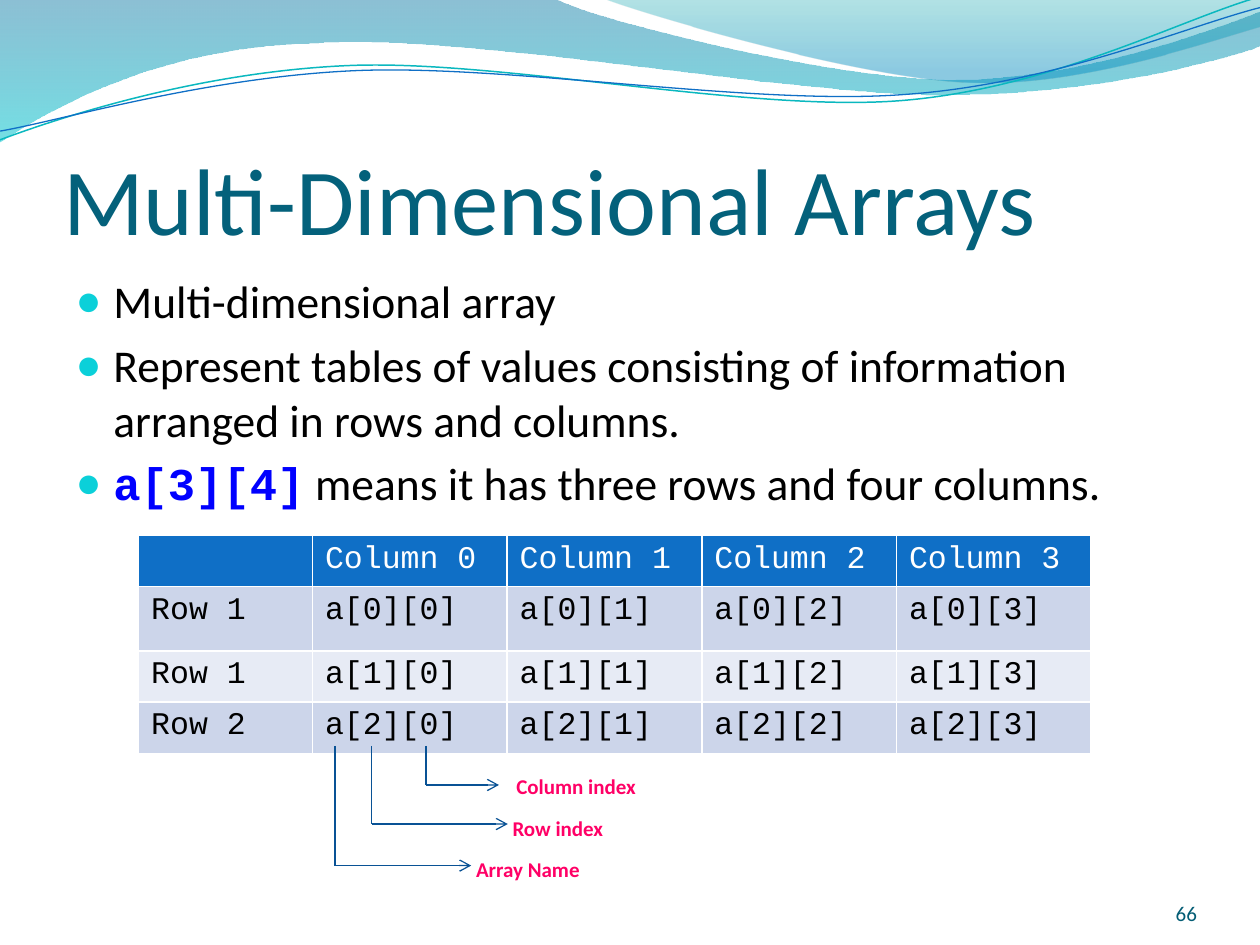
from dataclasses import dataclass
from math import cos, radians, sin

from lxml.etree import SubElement
from pptx import Presentation
from pptx.dml.color import RGBColor
from pptx.enum.text import MSO_ANCHOR, MSO_AUTO_SIZE, PP_ALIGN
from pptx.oxml.ns import qn
from pptx.util import Pt

PX = 9144  # EMU per px, 100 px to the inch


@dataclass(frozen=True)
class Theme:
    font: str = "Calibri"
    code_font: str = "Courier New"
    title: str = "04617B"
    text: str = "000000"
    code: str = "0000FF"
    bullet: str = "0BD0D9"
    header: str = "0F6FC6"
    white: str = "FFFFFF"
    bands: tuple = ("CCD5EA", "E7EBF5")
    arrow: str = "095295"
    label: str = "FF0066"
    number: str = "045D75"
    title_size: int = 54
    body_size: int = 26
    table_size: int = 18
    small_size: int = 12


def px(*values):
    return [round(v * PX) for v in values]


def rgb(color):
    return RGBColor.from_string(color)


def turn(point, center, degrees):
    a = radians(degrees)
    dx, dy = point[0] - center[0], point[1] - center[1]
    return (center[0] + dx * cos(a) - dy * sin(a),
            center[1] + dx * sin(a) + dy * cos(a))


class Deck:
    def __init__(self, slide, theme):
        self.s = slide
        self.theme = theme

    def run(self, p, text, size, color, font=None, bold=False):
        r = p.add_run()
        r.text = text
        r.font.name = font or self.theme.font
        r.font.size = Pt(size)
        r.font.bold = bold
        r.font.color.rgb = rgb(color)

    def freeform(self, start, segments, close, center=(0, 0), tilt=0):
        """Segments are line ends (2 numbers) or Bezier curves (6 numbers)."""
        points = [start]
        for seg in segments:
            points += zip(seg[::2], seg[1::2])
        points = [tuple(px(*turn(p, center, -tilt))) for p in points]
        builder = self.s.shapes.build_freeform(*points[0], scale=1.0)
        builder.add_line_segments(points[1:], close=close)
        sp = builder.convert_to_shape()
        lines = iter(list(sp.element.iter(qn("a:lnTo"))))
        for seg in segments:
            group = [next(lines) for _ in seg[::2]]
            if len(group) == 3:
                curve = SubElement(group[0].getparent(), qn("a:cubicBezTo"))
                group[0].addprevious(curve)
                for ln in group:
                    curve.append(ln[0])
                    ln.getparent().remove(ln)
        sp.rotation = tilt
        sp.shadow.inherit = False
        return sp

    def wave(self, start, segments, stops):
        """Filled band; stops are (position, colour, opacity in percent)."""
        sp = self.freeform(start, segments, True)
        sp.line.fill.background()
        sp.fill.gradient()
        sp.fill.gradient_angle = 270
        for stop, (position, color, opacity) in zip(sp.fill.gradient_stops, stops):
            stop.position = position
            stop.color.rgb = rgb(color)
        for clr, stop in zip(sp.element.spPr.iter(qn("a:srgbClr")), stops):
            SubElement(clr, qn("a:alpha")).set("val", str(stop[2] * 1000))

    def wave_line(self, start, segments, center, color, width):
        sp = self.freeform(start, segments, False, center, -2.7)
        sp.fill.background()
        sp.line.color.rgb = rgb(color)
        sp.line.width = Pt(width)

    def placeholder(self, index, box):
        """Place a template placeholder in front of what is drawn so far."""
        sp = self.s.placeholders[index]
        sp.left, sp.top, sp.width, sp.height = px(*box)
        sp.element.getparent().append(sp.element)
        sp.text_frame.auto_size = MSO_AUTO_SIZE.NONE
        return sp.text_frame

    def title(self, text, box):
        tf = self.placeholder(0, box)
        tf.margin_left = tf.margin_right = tf.margin_bottom = 0
        tf.vertical_anchor = MSO_ANCHOR.BOTTOM
        p = tf.paragraphs[0]
        p.alignment = PP_ALIGN.LEFT
        self.run(p, text, self.theme.title_size, self.theme.title)

    def bullets(self, items, box):
        """Each item is a list of (text, is_code) runs."""
        th = self.theme
        tf = self.placeholder(1, box)
        for i, item in enumerate(items):
            p = tf.add_paragraph() if i else tf.paragraphs[0]
            p.space_before = Pt(5.2 if i else 0)
            pPr = p._p.get_or_add_pPr()
            indent = px(30)[0]
            pPr.set("marL", str(indent))
            pPr.set("indent", str(-indent))
            SubElement(SubElement(pPr, qn("a:buClr")), qn("a:srgbClr")).set("val", th.bullet)
            SubElement(pPr, qn("a:buSzPct")).set("val", "95000")
            SubElement(pPr, qn("a:buChar")).set("char", "●")
            for text, is_code in item:
                if is_code:
                    self.run(p, text, th.body_size, th.code, th.code_font, True)
                else:
                    self.run(p, text, th.body_size, th.text)

    def borders(self, cell):
        tcPr = cell._tc.get_or_add_tcPr()
        for side in "LRTB":
            ln = SubElement(tcPr, qn(f"a:ln{side}"))
            ln.set("w", str(Pt(1)))
            fill = SubElement(ln, qn("a:solidFill"))
            SubElement(fill, qn("a:srgbClr")).set("val", self.theme.white)

    def table(self, rows, left, top, widths, heights):
        th = self.theme
        frame = self.s.shapes.add_table(
            len(rows), len(widths), *px(left, top, sum(widths), sum(heights)))
        table = frame.table
        for column, width in zip(table.columns, px(*widths)):
            column.width = width
        for row, height in zip(table.rows, px(*heights)):
            row.height = height
        for i, row in enumerate(rows):
            for j, text in enumerate(row):
                cell = table.cell(i, j)
                self.borders(cell)
                cell.fill.solid()
                cell.fill.fore_color.rgb = rgb(th.bands[(i - 1) % 2] if i else th.header)
                if text:
                    self.run(cell.text_frame.paragraphs[0], text, th.table_size,
                             th.text if i else th.white, th.code_font)

    def line(self, x1, y1, x2, y2, arrow=False):
        c = self.s.shapes.add_connector(1, *px(x1, y1, x2, y2))
        c.line.color.rgb = rgb(self.theme.arrow)
        c.line.width = Pt(0.75)
        if arrow:
            SubElement(c.line._get_or_add_ln(), qn("a:tailEnd")).set("type", "arrow")
        SubElement(c.element.spPr, qn("a:effectLst"))

    def callout(self, text, x, top, y, tip, label_box):
        """Line down from a table cell, then an arrow across to a label."""
        self.line(x, top, x, y)
        self.line(x, y, tip, y, arrow=True)
        tf = self.s.shapes.add_textbox(*px(*label_box)).text_frame
        tf.word_wrap = False
        tf.auto_size = MSO_AUTO_SIZE.SHAPE_TO_FIT_TEXT
        self.run(tf.paragraphs[0], text, self.theme.small_size, self.theme.label, bold=True)

    def slide_number(self, text, box):
        tf = self.s.shapes.add_textbox(*px(*box)).text_frame
        tf.word_wrap = True
        tf.margin_left = tf.margin_right = tf.margin_top = tf.margin_bottom = 0
        tf.vertical_anchor = MSO_ANCHOR.BOTTOM
        tf.paragraphs[0].alignment = PP_ALIGN.RIGHT
        self.run(tf.paragraphs[0], text, self.theme.small_size, self.theme.number)


def main():
    prs = Presentation()
    prs.slide_width, prs.slide_height = px(1000, 750)
    deck = Deck(prs.slides.add_slide(prs.slide_layouts[1]), Theme())

    deck.wave((0, 0), [
        (440, -1), (476, 17, 664, 63, 758, 63), (853, 63, 958, 26, 1000, 9),
        (1001, 36), (983, 44, 870, 76, 746, 75), (622, 75, 382, 28, 257, 34),
        (129, 36, 46, 83, -1, 113)], [(0, "0074A1", 45), (1, "00C6CF", 55)])
    deck.wave((479, -1), [
        (509, 11, 682, 62, 769, 65), (856, 69, 961, 32, 1000, 21), (1000, 0)],
        [(0, "00A1A9", 30), (0.8, "008BBF", 45)])
    deck.wave_line((0, 111), [
        (48, 93, 158, 57, 277, 52), (395, 47, 593, 89, 713, 80),
        (833, 71, 938, 15, 998, -2)], (499, 57), "0AB8BF", 0.85)
    deck.wave_line((0, 104), [
        (47, 96, 164, 61, 283, 56), (403, 51, 597, 84, 717, 75),
        (836, 67, 941, 21, 1000, 6)], (499, 59), "0F6FC6", 0.75)

    deck.title("Multi-Dimensional Arrays", (50, 77, 900, 125))
    deck.bullets([
        [("Multi-dimensional array", False)],
        [("Represent tables of values consisting of information "
          "arranged in rows and columns.", False)],
        [("a[3][4]", True), (" means it has three rows and four columns.", False)],
    ], (50, 212, 900, 480))

    rows = [[""] + [f"Column {j}" for j in range(4)]]
    for i, name in enumerate(("Row 1", "Row 1", "Row 2")):
        rows.append([name] + [f"a[{i}][{j}]" for j in range(4)])
    column, row = (756 - 138) / 4, (173 - 51) / 3
    deck.table(rows, 110, 425, [138] + [column] * 4, [row, 51, row, row])

    deck.callout("Array Name", 266, 592, 687, 374, (368, 675, 103, 30))
    deck.callout("Row index", 295, 592, 654, 403, (397, 642, 93, 30))
    deck.callout("Column index", 338, 592, 623, 396, (400, 609, 117, 30))
    deck.slide_number("66", (867, 695, 83, 40))
    prs.save("out.pptx")


if __name__ == "__main__":
    main()
